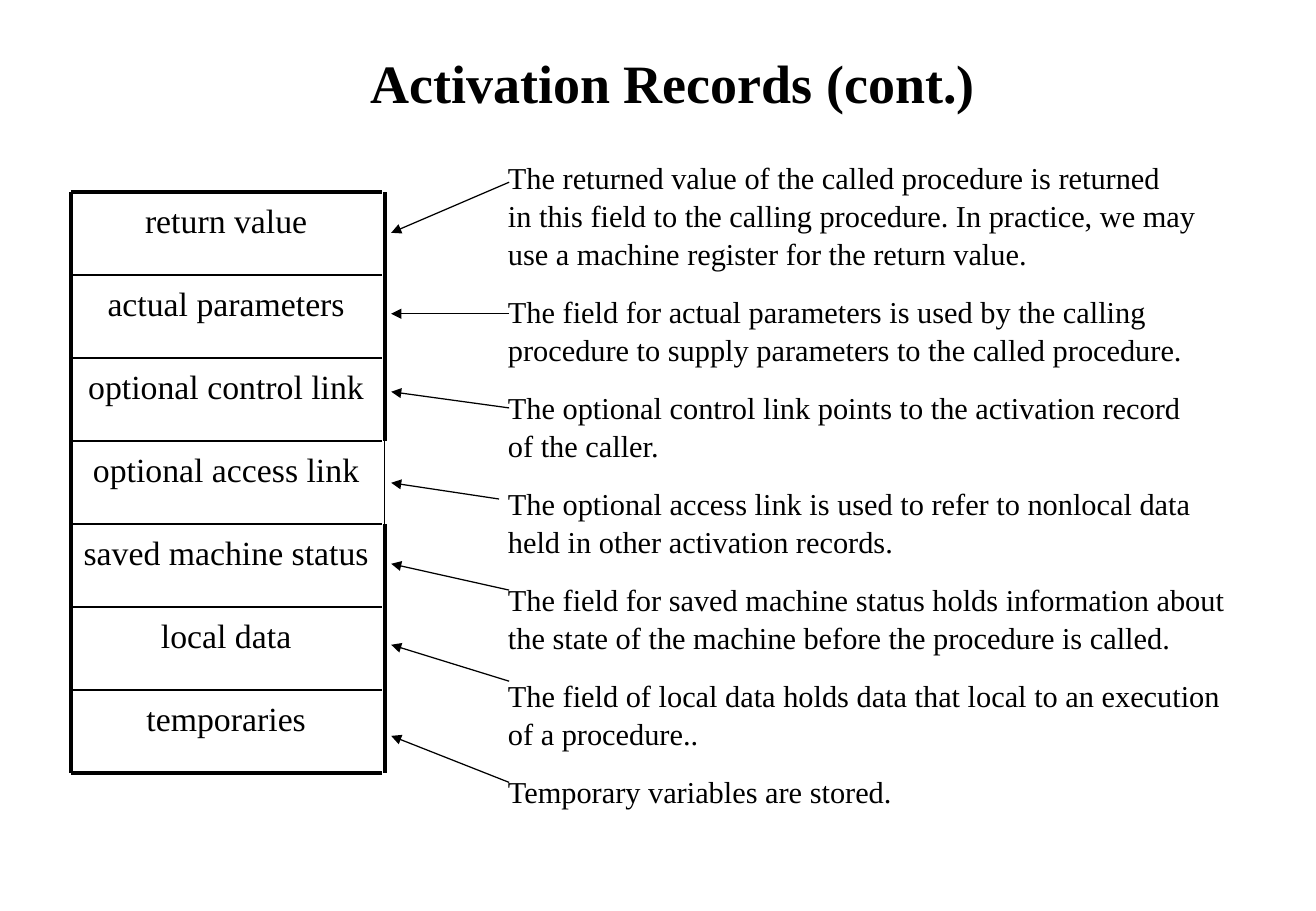
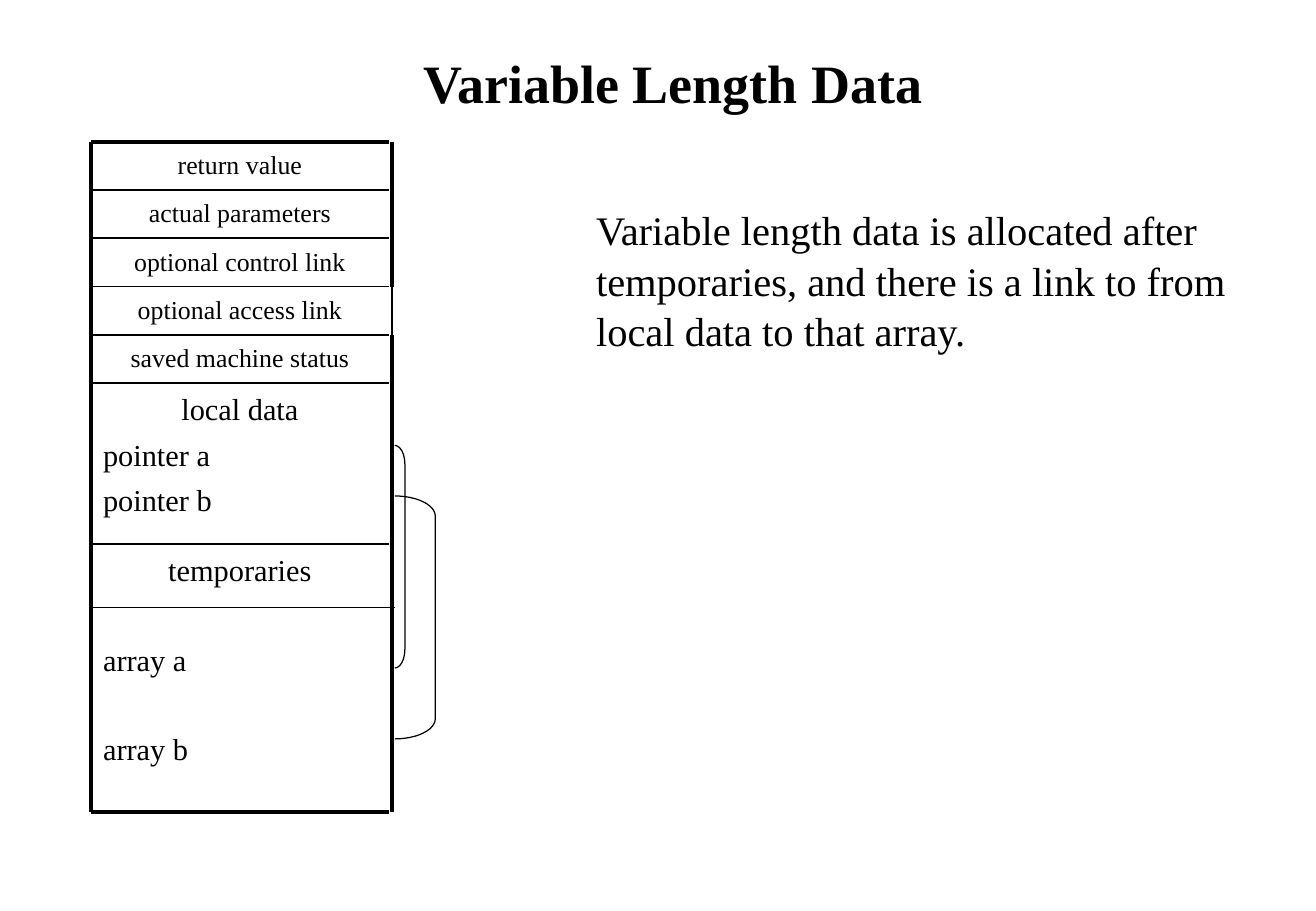
from dataclasses import dataclass

from lxml.etree import SubElement
from pptx import Presentation
from pptx.dml.color import RGBColor
from pptx.enum.shapes import MSO_CONNECTOR, MSO_SHAPE
from pptx.enum.text import MSO_ANCHOR, PP_ALIGN
from pptx.oxml.ns import qn
from pptx.util import Inches, Pt


@dataclass(frozen=True)
class Theme:
    ink: RGBColor = RGBColor(0, 0, 0)
    face: str = "Times New Roman"
    title: float = 32
    lead: float = 24
    field: float = 20
    note: float = 18
    small: float = 15.3
    thick: float = 2.25
    rule: float = 1
    thin: float = 0.75
    pitch: float = 1.04


theme = Theme()
LEFT, MID = PP_ALIGN.LEFT, PP_ALIGN.CENTER
COLS, ROWS = 130, 90
CELL = Inches(7.5) / ROWS


def grid(*cells):
    """Turn counts of grid cells into lengths."""
    return [round(n * CELL) for n in cells]


def write(frame, paras, size, bold=False):
    """Fill a frame with (text, alignment, space before) paragraphs."""
    for i, (text, align, gap) in enumerate(paras):
        para = frame.add_paragraph() if i else frame.paragraphs[0]
        para.text = text
        looks = {"alignment": align, "space_before": Pt(gap), "line_spacing": theme.pitch}
        for key, val in looks.items():
            setattr(para, key, val)
        for key, val in {"name": theme.face, "size": Pt(size), "bold": bold}.items():
            setattr(para.font, key, val)
        para.font.color.rgb = theme.ink


# Each field: bottom row, type size, paragraphs
names = ["return value", "actual parameters", "optional control link",
         "optional access link", "saved machine status", "local data", "temporaries"]
even = [(19 + 8.2 * (i + 1), theme.field, [(name, MID, 0)])
        for i, name in enumerate(names)]
packed = [(14 + 4.77 * (i + 1), theme.small, [(name, MID, 0)])
          for i, name in enumerate(names[:5])]
packed += [
    (53.75, theme.note, [("local data", MID, 0), ("pointer a", LEFT, 4.5),
                         ("pointer b", LEFT, 4.5)]),
    (80.2, theme.note, [("temporaries", MID, 0), ("array a", LEFT, 30.5),
                        ("array b", LEFT, 30.5)]),
]

notes = [
    "The returned value of the called procedure is returned\v"
    "in this field to the calling procedure. In practice, we may\v"
    "use a machine register for the return value.",
    "The field for actual parameters is used by the calling\v"
    "procedure to supply parameters to the called procedure.",
    "The optional control link points to the activation record\vof the caller.",
    "The optional access link is used to refer to nonlocal data\v"
    "held in other activation records.",
    "The field for saved machine status holds information about\v"
    "the state of the machine before the procedure is called.",
    "The field of local data holds data that local to an execution\vof a procedure..",
    "Temporary variables are stored.",
]
lead = ("Variable length data is allocated after\v"
        "temporaries, and there is a link to from\vlocal data to that array.")

# Arrows: tail column, tail row, tip row
arrows = [(50.3, 18, 23), (50.3, 31, 31), (50.3, 40.3, 38.7), (49.3, 49.3, 47.7),
          (50.3, 58.3, 55.7), (50.3, 67.3, 63.7), (50.3, 77.3, 72.7)]
tip = 38.65

# Links from pointer to array: top row, width, height, corner share
links = [(44, 1, 22, 1.85), (49, 4, 24, 0.5)]

pages = [
    dict(title="Activation Records (cont.)", left=7, right=37.7, edge=38, top=19,
         fields=even, box=(49, 15, 78, 64), size=theme.note,
         text=[(note, LEFT, 12 if i else 0) for i, note in enumerate(notes)],
         arrows=arrows, links=[], extra=[]),
    dict(title="Variable Length Data", left=9, right=38.4, edge=38.75, top=14,
         fields=packed, box=(57.7, 19.5, 68, 16), size=theme.lead,
         text=[(lead, LEFT, 0)],
         arrows=[], links=links, extra=[(9, 60, 39, 60, theme.thin, False)]),
]

deck = Presentation()
deck.slide_width, deck.slide_height = grid(COLS, ROWS)
layout = deck.slide_layouts[5]
head = layout.placeholders[0]
head.left, head.top, head.width, head.height = grid(5, 2, 123, 12)
head.text_frame.vertical_anchor = MSO_ANCHOR.MIDDLE

for page in pages:
    slide = deck.slides.add_slide(layout)
    write(slide.shapes.title.text_frame, [(page["title"], MID, 0)], theme.title, True)

    left, right, edge = page["left"], page["right"], page["edge"]
    tops = [page["top"]] + [low for low, _, _ in page["fields"]]
    for top, (low, size, paras) in zip(tops, page["fields"]):
        box = slide.shapes.add_textbox(*grid(left, top, right - left, low - top))
        box.text_frame.word_wrap = True
        write(box.text_frame, paras, size)

    note = slide.shapes.add_textbox(*grid(*page["box"]))
    note.text_frame.word_wrap = True
    write(note.text_frame, page["text"], page["size"])

    # Lines: start, end, weight, arrowhead
    lines = [(left, y, right, y,
              theme.thick if y in (tops[0], tops[-1]) else theme.rule, False)
             for y in tops]
    lines += [
        (left, tops[0], left, tops[-1], theme.thick, False),
        (edge, tops[0], edge, tops[3], theme.thick, False),
        (edge, tops[3], edge, tops[4], theme.rule, False),
        (edge, tops[4], edge, tops[-1], theme.thick, False),
    ]
    lines += page["extra"]
    lines += [(x, y, tip, end, theme.thin, True) for x, y, end in page["arrows"]]
    for *ends, weight, arrow in lines:
        line = slide.shapes.add_connector(MSO_CONNECTOR.STRAIGHT, *grid(*ends))
        line.line.color.rgb = theme.ink
        line.line.width = Pt(weight)
        if arrow:
            SubElement(line.line._get_or_add_ln(), qn("a:tailEnd"), type="triangle")
        SubElement(line._element.spPr, qn("a:effectLst"))

    for top, wide, high, bend in page["links"]:
        link = slide.shapes.add_shape(MSO_SHAPE.RIGHT_BRACKET, *grid(39, top, wide, high))
        link.adjustments[0] = bend
        link.shadow.inherit = False
        link.fill.background()
        link.line.color.rgb = theme.ink
        link.line.width = Pt(theme.thin)

deck.save("out.pptx")
